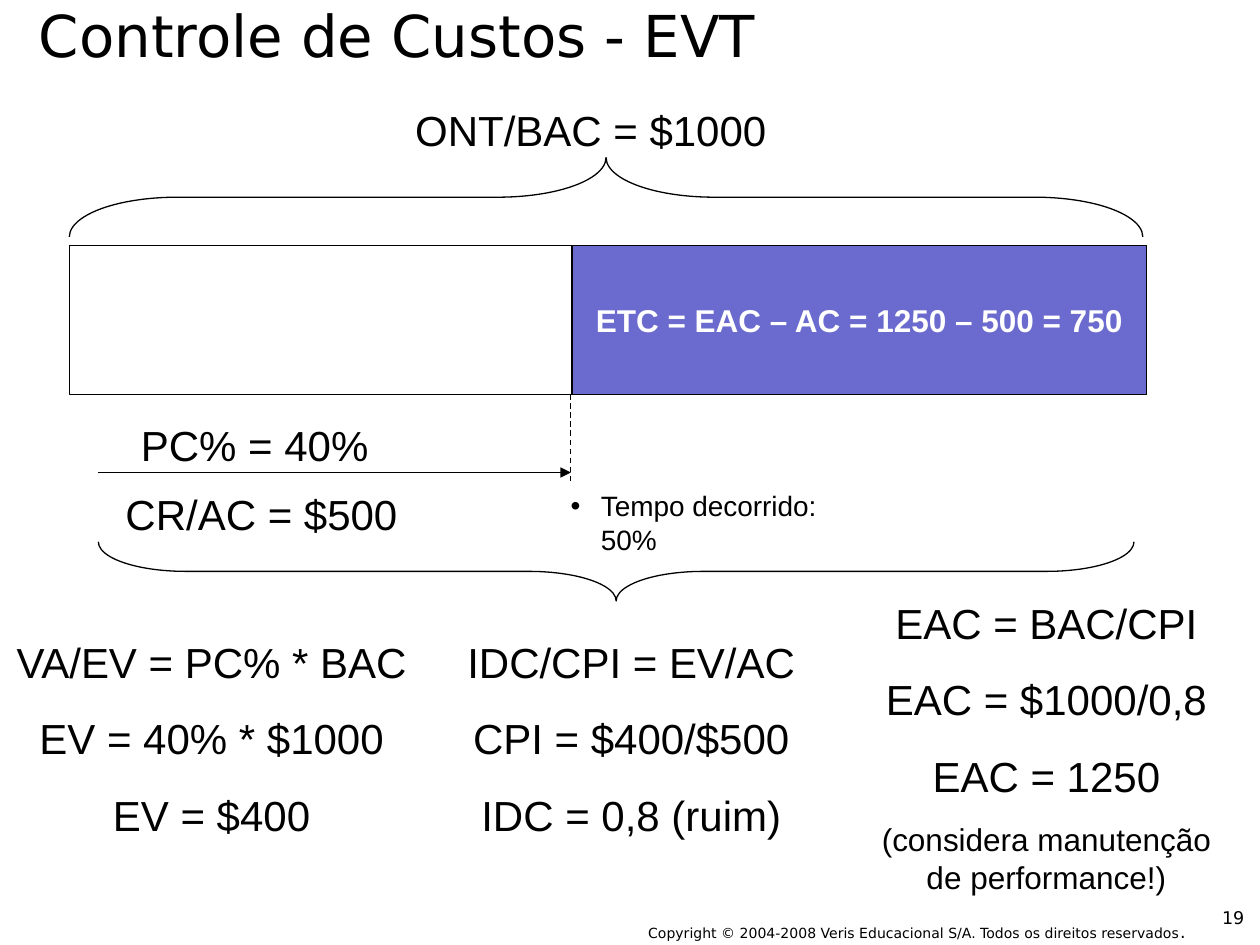
from dataclasses import dataclass
from lxml.etree import SubElement
from pptx import Presentation
from pptx.dml.color import RGBColor as Color
from pptx.enum.dml import MSO_LINE as Dash
from pptx.enum.shapes import MSO_CONNECTOR as Connector, MSO_SHAPE as Shape
from pptx.enum.text import MSO_ANCHOR as Anchor, PP_ALIGN as Align
from pptx.oxml.ns import qn
from pptx.util import Inches, Pt

COLUMNS, ROWS = 100, 75


@dataclass(frozen=True)
class Theme:
    ink: Color = Color(0, 0, 0)
    paper: Color = Color(255, 255, 255)
    remaining: Color = Color(0x6B, 0x6B, 0xCF)
    body_font: str = "Arial"
    title_font: str = "DejaVu Sans"
    title: float = 33
    formula: float = 24
    note: float = 18
    bullet: float = 16
    number: float = 10
    legal: float = 8
    line: float = 0.75
    gap: float = 15
    note_gap: float = 11.2


THEME = Theme()


@dataclass(frozen=True)
class Grid:
    width: int
    height: int

    def place(self, box):
        left, top, width, height = box
        return (self.x(left), self.y(top), self.x(width), self.y(height))

    def x(self, columns):
        return round(self.width * columns / COLUMNS)

    def y(self, rows):
        return round(self.height * rows / ROWS)


GRID = Grid(Inches(10), Inches(7.5))


def add_span(para, text, size, font=THEME.body_font, color=THEME.ink, bold=False):
    span = para.add_run()
    span.text = text
    span.font.size = Pt(size)
    span.font.name = font
    span.font.color.rgb = color
    span.font.bold = bold


def write(shape, text, align=Align.CENTER, inset=True, wrap=True,
          anchor=Anchor.TOP, size=THEME.formula, **style):
    frame = shape.text_frame
    frame.word_wrap = wrap
    frame.vertical_anchor = anchor
    frame.margin_left = frame.margin_right = Inches(0.1 if inset else 0)
    frame.margin_top = frame.margin_bottom = Inches(0.05 if inset else 0)
    for index, line in enumerate(text.split("\n")):
        para = frame.add_paragraph() if index else frame.paragraphs[0]
        para.alignment = align
        para.space_before = Pt(THEME.gap if index else 0)
        add_span(para, line, size, **style)
    return frame.paragraphs[-1]


def add_text(page, box, text, **style):
    return write(page.shapes.add_textbox(*GRID.place(box)), text, **style)


def add_outline(page, kind, box, fill=None):
    shape = page.shapes.add_shape(kind, *GRID.place(box))
    shape.shadow.inherit = False
    if fill is None:
        shape.fill.background()
    else:
        shape.fill.solid()
        shape.fill.fore_color.rgb = fill
    shape.line.color.rgb = THEME.ink
    shape.line.width = Pt(THEME.line)
    return shape


def add_brace(page, box, rotation, curve):
    left, top, width, height = box
    upright = (left + (width - height) / 2, top + (height - width) / 2, height, width)
    brace = add_outline(page, Shape.RIGHT_BRACE, upright)
    brace.adjustments[0] = curve
    brace.rotation = rotation


def add_line(page, start, end):
    line = page.shapes.add_connector(
        Connector.STRAIGHT, GRID.x(start[0]), GRID.y(start[1]),
        GRID.x(end[0]), GRID.y(end[1]))
    line.line.color.rgb = THEME.ink
    line.line.width = Pt(THEME.line)
    SubElement(line._element.spPr, qn("a:effectLst"))
    return line


def add_heading(page, box):
    add_text(page, box, "Controle de Custos - EVT", align=Align.LEFT, inset=False,
             size=THEME.title, font=THEME.title_font)


def add_budget(page, box):
    left, top, width, height = box
    add_text(page, (left + 21.1, top, 40.6, 5), "ONT/BAC = $1000")
    add_brace(page, (left, top + 4.7, 85.2, 6.3), 270, 1.36)
    bar_top, bar_height = top + 11.7, height - 11.7
    add_outline(page, Shape.RECTANGLE, (left, bar_top, 82.3, bar_height))
    remaining = add_outline(page, Shape.RECTANGLE,
                            (left + 39.9, bar_top, width - 39.9, bar_height),
                            THEME.remaining)
    write(remaining, "ETC = EAC – AC = 1250 – 500 = 750", wrap=False,
          anchor=Anchor.MIDDLE, size=THEME.note, color=THEME.paper, bold=True)


def add_progress(page, box):
    left, top, width, height = box
    today = left + 39.8
    marker = add_line(page, (today, top), (today, top + 7))
    marker.line.dash_style = Dash.DASH
    arrow = add_line(page, (left + 2.3, top + 6.2), (today, top + 6.2))
    SubElement(arrow.line._get_or_add_ln(), qn("a:tailEnd"), type="triangle")
    add_text(page, (left + 4.7, top + 1.5, 25.9, 5), "PC% = 40%", align=Align.LEFT)
    add_text(page, (left, top + 7, 30.5, 5), "CR/AC = $500")
    para = add_text(page, (today - 1, top + 7, 25.2, 6.5), "Tempo decorrido: 50%",
                    align=Align.LEFT, size=THEME.bullet)
    format = para._p.get_or_add_pPr()
    format.set("marL", str(Inches(0.24)))
    format.set("indent", str(-Inches(0.24)))
    SubElement(format, qn("a:buFont"), typeface=THEME.body_font)
    SubElement(format, qn("a:buChar"), char="•")
    add_brace(page, (left + 2.3, top + 11.7, width - 2.3, height - 11.7), 90, 1.47)


def add_results(page, box):
    left, top, width, height = box
    add_text(page, (left, top + 3.1, 33.6, 17.2),
             "VA/EV = PC% * BAC\nEV = 40% * $1000\nEV = $400")
    add_text(page, (left + 35.9, top + 3.1, 28.4, 17.2),
             "IDC/CPI = EV/AC\nCPI = $400/$500\nIDC = 0,8 (ruim)")
    last = add_text(page, (left + 68.4, top, width - 68.4, height),
                    "EAC = BAC/CPI\nEAC = $1000/0,8\nEAC = 1250\n"
                    "(considera manutenção de performance!)")
    last.space_before = Pt(THEME.note_gap)
    last.runs[0].font.size = Pt(THEME.note)


def add_footer(page, box):
    left, top, width, height = box
    add_text(page, (left + 62.6, top, 5, 2.5), "19", align=Align.LEFT, inset=False,
             size=THEME.number, font=THEME.title_font)
    para = add_text(page, (left, top + 1.1, 59.7, height - 1.1),
                    "Copyright © 2004-2008 Veris Educacional S/A. "
                    "Todos os direitos reservados",
                    align=Align.RIGHT, inset=False, size=THEME.legal,
                    font=THEME.title_font)
    add_span(para, ".", THEME.number, THEME.title_font)


def main():
    deck = Presentation()
    deck.slide_width, deck.slide_height = GRID.width, GRID.height
    page = deck.slides.add_slide(deck.slide_layouts[6])
    add_heading(page, (3.1, 0, 81.7, 6.6))
    add_budget(page, (5.5, 7.8, 85.5, 23.5))
    add_progress(page, (5.5, 31.3, 84.5, 16.4))
    add_results(page, (0, 46.9, 97.7, 24.8))
    add_footer(page, (34.4, 72, 67.6, 3.8))
    deck.save("out.pptx")


if __name__ == "__main__":
    main()
